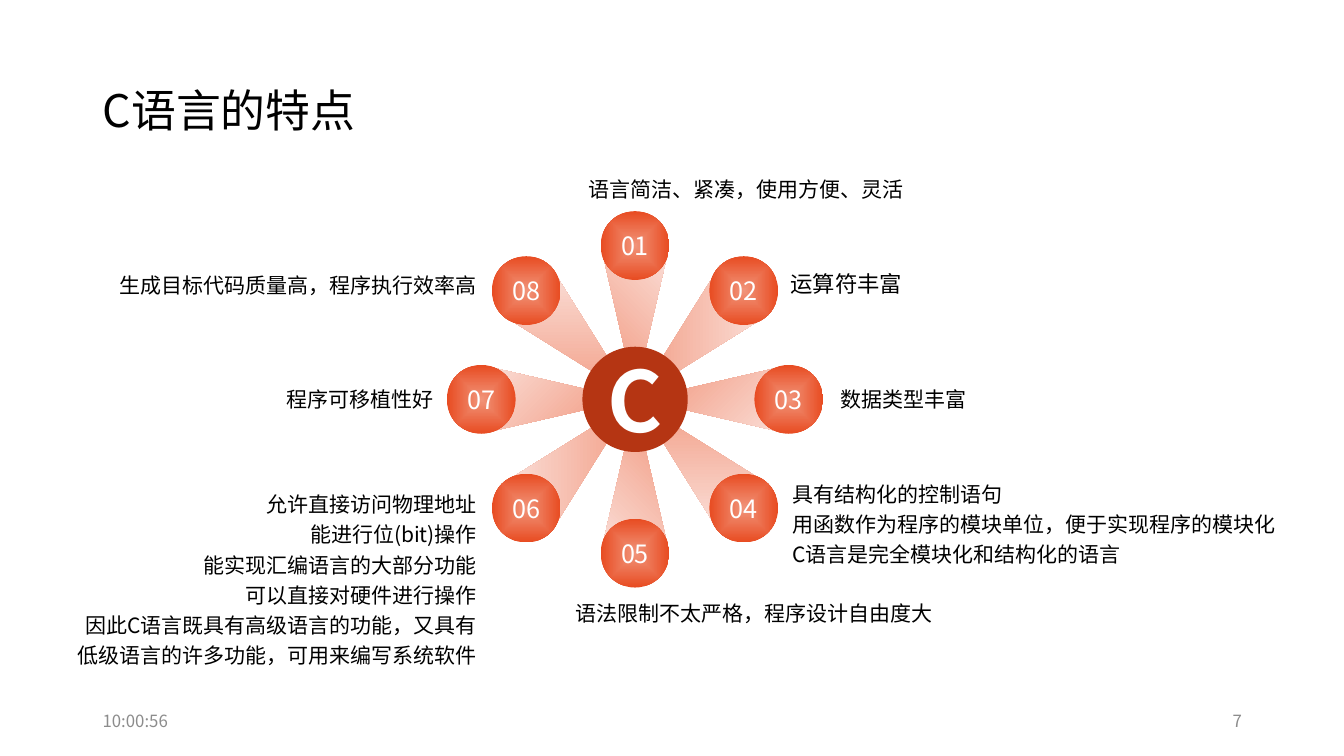
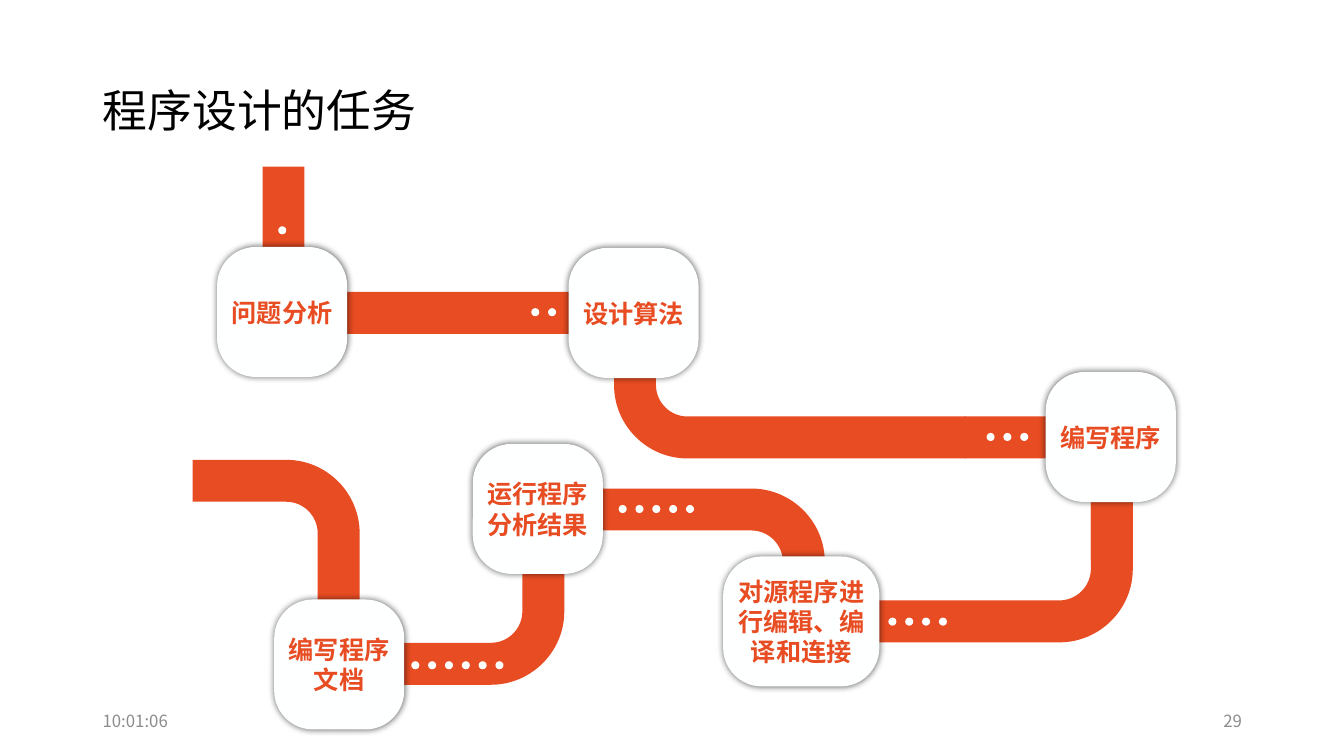
from dataclasses import dataclass
from math import cos, radians, sin

from lxml import etree
from pptx import Presentation
from pptx.dml.color import RGBColor
from pptx.enum.shapes import MSO_SHAPE
from pptx.enum.text import MSO_ANCHOR, PP_ALIGN
from pptx.oxml.ns import qn
from pptx.util import Inches, Pt

LEFT, MID, RIGHT = PP_ALIGN.LEFT, PP_ALIGN.CENTER, PP_ALIGN.RIGHT
TOP, CORE, LOW = MSO_ANCHOR.TOP, MSO_ANCHOR.MIDDLE, MSO_ANCHOR.BOTTOM
OVAL, WEDGE = MSO_SHAPE.OVAL, MSO_SHAPE.ISOSCELES_TRIANGLE
CARD = MSO_SHAPE.ROUNDED_RECTANGLE


@dataclass(frozen=True)
class Theme:
    font: str = "Noto Sans CJK SC"
    ink: str = "000000"
    grey: str = "8C8C8C"
    white: str = "FFFFFF"
    card: str = "FEFFFF"
    main: str = "E84C22"
    dark: str = "B53513"
    soft: str = "F1947A"
    pale: str = "FADBD3"
    title: int = 32
    body: int = 15
    lead: int = 16
    mark: int = 18
    hub: int = 60
    foot: int = 12


T = Theme()

# Grid: ten cells to the inch, 133.33 columns by 75 rows
COLS, ROWS = 133.33, 75
WHEEL = (44.35, 20.97, 37.3, 37.3)
FLOW = (16, 16.5, 101, 56)

# Lines, then column and row from the hub, width, height, align, anchor, size, spacing
LABELS = [
    (["语言简洁、紧凑，使用方便、灵活"], -6.85, -23.12, 35.7, 4, MID, LOW, T.body, 1.2),
    (["运算符丰富"], 14.45, -13.62, 14, 4, LEFT, CORE, T.lead, 1.1),
    (["数据类型丰富"], 19.45, -2.3, 18, 4, LEFT, CORE, T.body, 1.2),
    (["具有结构化的控制语句",
      "用函数作为程序的模块单位，便于实现程序的模块化",
      "C语言是完全模块化和结构化的语言"],
     14.6, 10.13, 51.2, 4, LEFT, CORE, T.body, 1.2),
    (["语法限制不太严格，程序设计自由度大"], -7.22, 18.95, 38, 4, MID, TOP, T.body, 1.2),
    (["允许直接访问物理地址",
      "能进行位(bit)操作",
      "能实现汇编语言的大部分功能",
      "可以直接对硬件进行操作",
      "因此C语言既具有高级语言的功能，又具有低级语言的许多功能，可用来编写系统软件"],
     -57.4, 7.45, 42.7, 20.4, RIGHT, CORE, T.body, 1.2),
    (["程序可移植性好"], -36.7, -2.3, 17.7, 4, RIGHT, CORE, T.body, 1.2),
    (["生成目标代码质量高，程序执行效率高"], -52.7, -13.62, 38, 4, RIGHT, CORE, T.body, 1.2),
]

# Column of the level end, row of the upright end, column and row of the corner
PIPES = [
    (17.7, 34.9, 37.9, 49.35),
    (43.5, 48.5, 63.75, 34.05),
    (61.5, 30.6, 94.3, 45.15),
    (44.9, 0.03, 12.13, 14.53),
    (79.8, 12.4, 47, 26.9),
    (79.7, 39.1, 94.3, 26.9),
    (3.1, 51.4, 17.6, 31.2),
]

# Lines, column, row and width of the card, column and row of its first dot
STEPS = [
    (["问题分析"], 5.53, 8, 12.9, 11.6, 5.95),
    (["设计算法"], 40.4, 8.1, 12.9, 36.7, 14.07),
    (["编写程序"], 87.74, 20.4, 12.9, 81.87, 26.45),
    (["对源程序进行编辑、编译和连接"], 55.74, 38.7, 15.5, 72.13, 44.77),
    (["运行程序", "分析结果"], 30.9, 27.54, 12.9, 45.37, 33.6),
    (["编写程序文档"], 11.2, 42.97, 12.9, 24.8, 49.1),
]


def cell(n):
    return Inches(n / 10)


def rgb(code):
    return RGBColor.from_string(code)


def write(frame, lines, size, color, align=LEFT, anchor=CORE, bold=False, gap=1.0):
    frame.word_wrap = True
    frame.vertical_anchor = anchor
    for i, line in enumerate(lines):
        para = frame.paragraphs[0] if i == 0 else frame.add_paragraph()
        para.alignment = align
        para.line_spacing = gap
        run = para.add_run()
        run.text = line
        font = run.font
        font.name, font.size, font.bold = T.font, Pt(size), bold
        font.color.rgb = rgb(color)
        face = etree.SubElement(font._element, qn("a:ea"))
        face.set("typeface", T.font)


def label(slide, box, lines, size, color, **style):
    text = slide.shapes.add_textbox(*map(cell, box))
    write(text.text_frame, lines, size, color, **style)


def plain(shape, color=None):
    shape.shadow.inherit = False
    shape.line.fill.background()
    if color:
        shape.fill.solid()
        shape.fill.fore_color.rgb = rgb(color)
    return shape


def form(slide, kind, box, color=None):
    return plain(slide.shapes.add_shape(kind, *map(cell, box)), color)


def disc(slide, x, y, size, color=None):
    """Draw a circle around its centre."""
    return form(slide, OVAL, (x - size / 2, y - size / 2, size, size), color)


def inside(shape, lines, size, color, bold=False):
    frame = shape.text_frame
    frame.margin_left = frame.margin_right = 0
    frame.margin_top = frame.margin_bottom = 0
    write(frame, lines, size, color, align=MID, bold=bold)


def blend(shape, start, end, radial=False):
    fill = shape.fill
    fill.gradient()
    fill.gradient_angle = 315
    for stop, color, place in zip(fill.gradient_stops, (start, end), (0, 0.99)):
        stop.color.rgb = rgb(color)
        stop.position = place
    if radial:
        grad = shape._element.spPr.find(qn("a:gradFill"))
        grad.remove(grad.find(qn("a:lin")))
        way = etree.SubElement(grad, qn("a:path"), path="shape")
        etree.SubElement(way, qn("a:fillToRect"), l="50000", t="50000", r="50000", b="50000")


def glow(shape):
    effect = shape._element.spPr.find(qn("a:effectLst"))
    shade = etree.SubElement(effect, qn("a:outerShdw"), blurRad=str(Pt(5)),
                             dist="0", dir="0", algn="ctr", rotWithShape="0")
    tint = etree.SubElement(shade, qn("a:srgbClr"), val=T.ink)
    etree.SubElement(tint, qn("a:alpha"), val="60000")


def base(deck, title, time, page):
    """Add a slide with its title and footer."""
    slide = deck.slides.add_slide(deck.slide_layouts[6])
    label(slide, (9.2, 4, 115, 14.5), [title], T.title, T.ink, gap=0.9)
    label(slide, (9.2, 69.5, 30, 4), [time], T.foot, T.grey)
    label(slide, (94.2, 69.5, 30, 4), [page], T.foot, T.grey, align=RIGHT)
    return slide


def wheel(slide, box):
    x, y, w, h = box
    hubx, huby = x + w / 2, y + h / 2
    turns = [360 * i / len(LABELS) for i in range(len(LABELS))]

    def spot(turn, reach):
        return hubx + reach * sin(radians(turn)), huby - reach * cos(radians(turn))

    # Beams
    wide, tall = 0.17 * w, 0.37 * w
    for turn in turns:
        bx, by = spot(turn, 0.197 * w)
        beam = form(slide, WEDGE, (bx - wide / 2, by - tall / 2, wide, tall))
        beam.rotation = turn
        beam._element.spPr.xfrm.set("flipV", "1")
        blend(beam, T.soft, T.pale)

    # Numbered balls
    for i, turn in enumerate(turns, 1):
        ball = disc(slide, *spot(turn, 0.409 * w), 0.183 * w)
        blend(ball, T.soft, T.main, radial=True)
        inside(ball, [f"{i:02}"], T.mark, T.white)

    # Hub and labels
    hub = disc(slide, hubx, huby, 0.28 * w, T.dark)
    inside(hub, ["C"], T.hub, T.white, bold=True)
    for lines, dx, dy, wide, tall, align, anchor, size, gap in LABELS:
        label(slide, (hubx + dx, huby + dy, wide, tall), lines, size, T.ink,
              align=align, anchor=anchor, gap=gap)


def curve(lines):
    """Turn three line steps into one curve through their points."""
    first = lines[0]
    bow = etree.Element(qn("a:cubicBezTo"))
    first.addprevious(bow)
    for line in lines:
        bow.append(line[0])
        line.getparent().remove(line)


def pipe(slide, endx, endy, x, y, bend=5.2, half=2.08):
    """Draw a band with one round corner at x, y."""
    sx = 1 if endx > x else -1
    sy = 1 if endy > y else -1

    def arc(size):
        pull = 0.45 * size
        steps = [(size, 0), (size, size - pull), (size - pull, size), (0, size)]
        return [(x + sx * (bend - dx), y + sy * (bend - dy))
                for dx, dy in steps]

    def bow(size):
        pts = arc(size)
        ease = 0.55 * size
        return [pts[0], (pts[0][0], pts[0][1] - sy * ease),
                (pts[3][0] - sx * ease, pts[3][1]), pts[3]]

    edge = [(x - sx * half, endy), *bow(bend + half),
            (endx, y - sy * half), (endx, y + sy * half),
            *reversed(bow(bend - half)), (x + sx * half, endy)]
    dots = [(cell(px), cell(py)) for px, py in edge]
    pen = slide.shapes.build_freeform(*dots[0])
    pen.add_line_segments(dots[1:], close=True)
    band = plain(pen.convert_to_shape(), T.main)
    lines = list(band._element.iter(qn("a:lnTo")))
    curve(lines[1:4])
    curve(lines[7:10])


def flow(slide, box):
    x, y = box[:2]
    tall, dot, pitch = 12.9, 0.8, 1.67

    # Pipes
    for endx, endy, turnx, turny in PIPES:
        pipe(slide, x + endx, y + endy, x + turnx, y + turny)

    # Cards, each with as many dots as its step number
    for count, (lines, dx, dy, wide, dotx, doty) in enumerate(STEPS, 1):
        card = form(slide, CARD, (x + dx, y + dy, wide, tall), T.card)
        card.adjustments[0] = 0.298
        glow(card)
        inside(card, lines, T.mark, T.main, bold=True)
        for i in range(count):
            form(slide, OVAL, (x + dotx + i * pitch, y + doty, dot, dot), T.card)


deck = Presentation()
deck.slide_width, deck.slide_height = cell(COLS), cell(ROWS)
wheel(base(deck, "C语言的特点", "10:00:56", "7"), WHEEL)
flow(base(deck, "程序设计的任务", "10:01:06", "29"), FLOW)
deck.save("out.pptx")
